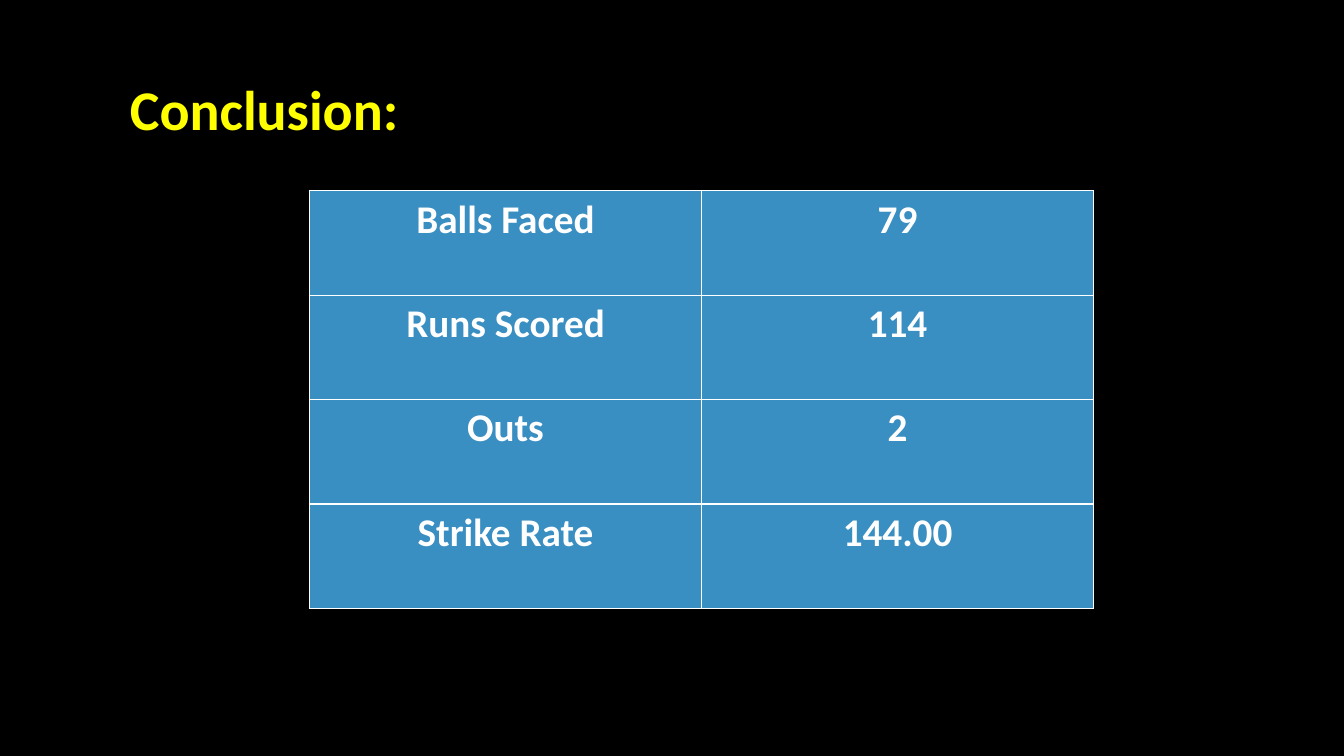
from typing import NamedTuple

from lxml.etree import SubElement
from pptx import Presentation
from pptx.dml.color import RGBColor
from pptx.enum.text import MSO_ANCHOR, MSO_AUTO_SIZE, PP_ALIGN
from pptx.oxml.ns import qn
from pptx.slide import Slide
from pptx.table import _Cell as Cell
from pptx.text.text import TextFrame
from pptx.util import Cm, Pt

BLACK = RGBColor(0x00, 0x00, 0x00)
WHITE = RGBColor(0xFF, 0xFF, 0xFF)
YELLOW = RGBColor(0xFF, 0xFF, 0x00)
BLUE = RGBColor(0x39, 0x8E, 0xC2)
FONT = "Calibri"
TITLE_ONLY_LAYOUT = 5


class Statistic(NamedTuple):
    label: str
    value: str


STATISTICS = [
    Statistic("Balls Faced", "79"),
    Statistic("Runs Scored", "114"),
    Statistic("Outs", "2"),
    Statistic("Strike Rate", "144.00"),
]


def format_text(text_frame: TextFrame, size: int, color: RGBColor, alignment: PP_ALIGN) -> None:
    for paragraph in text_frame.paragraphs:
        paragraph.alignment = alignment
        for run in paragraph.runs:
            run.font.name = FONT
            run.font.size = Pt(size)
            run.font.bold = True
            run.font.color.rgb = color


def add_borders(cell: Cell) -> None:
    properties = cell._tc.get_or_add_tcPr()
    for side in ("a:lnL", "a:lnR", "a:lnT", "a:lnB"):
        line = SubElement(properties, qn(side), w=str(Pt(1)))
        fill = SubElement(line, qn("a:solidFill"))
        SubElement(fill, qn("a:srgbClr"), val=str(WHITE))


def add_title(slide: Slide, text: str) -> None:
    title = slide.shapes.title
    title.left, title.top, title.width, title.height = Cm(3.02), Cm(1.75), Cm(11.35), Cm(1.96)
    text_frame = title.text_frame
    text_frame.text = text
    text_frame.word_wrap = True
    text_frame.auto_size = MSO_AUTO_SIZE.NONE
    text_frame.vertical_anchor = MSO_ANCHOR.MIDDLE
    format_text(text_frame, 40, YELLOW, PP_ALIGN.LEFT)


def add_statistics_table(slide: Slide, statistics: list[Statistic]) -> None:
    frame = slide.shapes.add_table(
        len(statistics), len(Statistic._fields), Cm(7.8), Cm(4.81), Cm(19.76), Cm(10.52)
    )
    table = frame.table
    table.first_row = False
    table.horz_banding = False
    for row, statistic in zip(table.rows, statistics):
        for cell, text in zip(row.cells, statistic):
            cell.text_frame.text = text
            format_text(cell.text_frame, 28, WHITE, PP_ALIGN.CENTER)
            add_borders(cell)
            cell.fill.solid()
            cell.fill.fore_color.rgb = BLUE


def main() -> None:
    presentation = Presentation()
    presentation.slide_width, presentation.slide_height = Cm(33.87), Cm(19.05)
    slide = presentation.slides.add_slide(presentation.slide_layouts[TITLE_ONLY_LAYOUT])
    slide.background.fill.solid()
    slide.background.fill.fore_color.rgb = BLACK
    add_title(slide, "Conclusion:")
    add_statistics_table(slide, STATISTICS)
    presentation.save("out.pptx")


if __name__ == "__main__":
    main()
